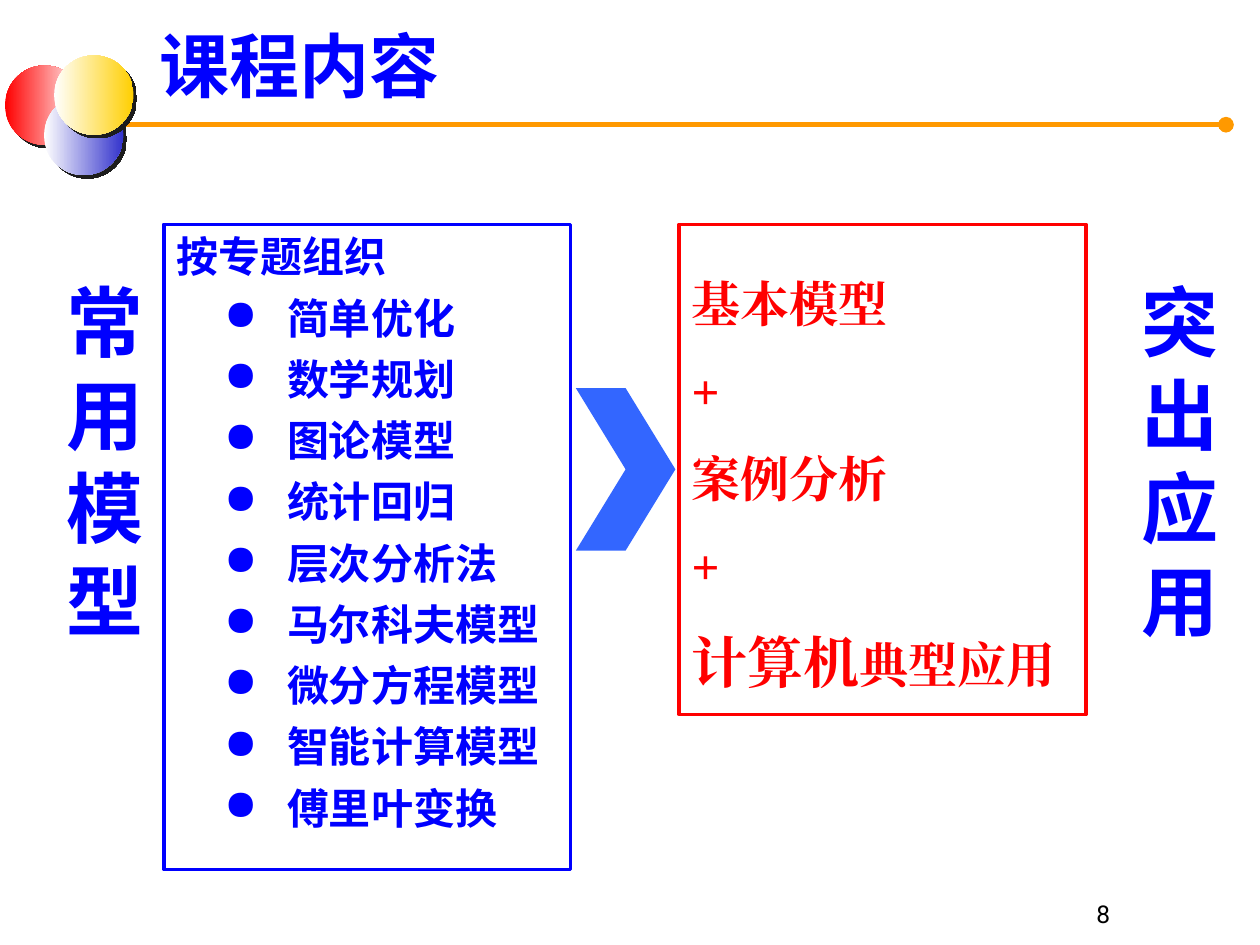
"""Build the course content slide: topics on the left lead to applications on the right."""
from lxml import etree
from pptx import Presentation
from pptx import util as u
from pptx.dml.color import RGBColor
from pptx.enum import shapes, text
from pptx.oxml.ns import qn

BLUE = RGBColor(0x00, 0x00, 0xFF)
RED = RGBColor(0xFF, 0x00, 0x00)
WHITE = RGBColor(0xFF, 0xFF, 0xFF)
BLACK = RGBColor(0x00, 0x00, 0x00)
ORANGE = RGBColor(0xFF, 0x99, 0x00)
YELLOW = RGBColor(0xFF, 0xCF, 0x01)
INDIGO = RGBColor(0x33, 0x33, 0xCC)
CHEVRON_BLUE = RGBColor(0x33, 0x66, 0xFF)
SHADOW = RGBColor(0x1C, 0x1C, 0x1C)

CJK = "Noto Sans CJK SC"
SERIF = "Times New Roman"
TOPICS = ["简单优化", "数学规划", "图论模型", "统计回归", "层次分析法",
          "马尔科夫模型", "微分方程模型", "智能计算模型", "傅里叶变换"]
APPLICATIONS = ["基本模型", "+", "案例分析", "+"]


def child(parent, tag, **attributes):
    """Append a drawing element with the given attributes."""
    return etree.SubElement(parent, qn(tag), {k: str(v) for k, v in attributes.items()})


def add_shape(slide, kind, left, top, width, height, fill=None, line=None):
    """Add a preset shape with an optional solid fill and outline."""
    shape = slide.shapes.add_shape(
        kind, u.Inches(left), u.Inches(top), u.Inches(width), u.Inches(height))
    shape.shadow.inherit = False
    if fill is None:
        shape.fill.background()
    else:
        shape.fill.solid()
        shape.fill.fore_color.rgb = fill
    if line is None:
        shape.line.fill.background()
    else:
        shape.line.color.rgb = line
        shape.line.width = u.Pt(2)
    return shape


def add_text_box(slide, left, top, width, height):
    """Add an empty text box."""
    return slide.shapes.add_textbox(
        u.Inches(left), u.Inches(top), u.Inches(width), u.Inches(height))


def prepare_frame(box, anchor=text.MSO_ANCHOR.TOP):
    """Turn on wrapping, set the anchor and return the text frame."""
    frame = box.text_frame
    frame.word_wrap = True
    frame.vertical_anchor = anchor
    return frame


def write(para, words, size, color, font=CJK, bold=True, pitch=None,
          before=0, bullet=False, align=text.PP_ALIGN.LEFT):
    """Add a run of text to a paragraph with its format."""
    para.alignment = align
    para.space_before = u.Pt(before)
    if pitch:
        para.line_spacing = u.Pt(pitch)
    if bullet:
        properties = para._p.get_or_add_pPr()
        properties.set("marL", str(u.Inches(0.88)))
        properties.set("indent", str(u.Inches(-0.5)))
        child(properties, "a:buChar", char="●")
    span = para.add_run()
    span.text = words
    span.font.size = u.Pt(size)
    span.font.bold = bold
    span.font.color.rgb = color
    span.font.name = font
    child(span._r.get_or_add_rPr(), "a:ea", typeface=font)


def add_topics(slide):
    """Add the blue box with the bulleted topics."""
    box = add_shape(slide, shapes.MSO_SHAPE.RECTANGLE, 1.3, 1.78, 3.23, 5.12, WHITE, BLUE)
    frame = prepare_frame(box)
    write(frame.paragraphs[0], "按专题组织", 24, BLUE, pitch=29)
    for topic in TOPICS:
        write(frame.add_paragraph(), topic, 24, BLUE, pitch=29, before=6, bullet=True)


def add_applications(slide):
    """Add the red box that joins models, cases and computing."""
    box = add_shape(slide, shapes.MSO_SHAPE.RECTANGLE, 5.39, 1.78, 3.23, 3.89, line=RED)
    frame = prepare_frame(box, text.MSO_ANCHOR.MIDDLE)
    for index, words in enumerate(APPLICATIONS):
        para = frame.add_paragraph() if index else frame.paragraphs[0]
        write(para, words, 28, RED, SERIF, pitch=50)
    last = frame.add_paragraph()
    write(last, "计算机", 32, RED, SERIF, pitch=57)
    write(last, "典型应用", 28, RED, SERIF, pitch=57)


def add_side_label(slide, left, words):
    """Add a narrow label that wraps to one character a line."""
    frame = prepare_frame(add_text_box(slide, left, 2.13, 0.61, 3.06))
    write(frame.paragraphs[0], words, 44, BLUE, pitch=53)


def add_rule(slide):
    """Add the orange rule with round ends."""
    rule = slide.shapes.add_connector(
        shapes.MSO_CONNECTOR.STRAIGHT,
        u.Inches(0.9), u.Inches(0.99), u.Inches(9.73), u.Inches(0.99))
    rule.line.color.rgb = ORANGE
    rule.line.width = u.Pt(3)
    outline = rule.line._get_or_add_ln()
    child(outline, "a:headEnd", type="oval")
    child(outline, "a:tailEnd", type="oval")
    child(rule._element.spPr, "a:effectLst")


def add_ball(slide, left, top, start, end):
    """Add a shaded ball with a hard shadow."""
    ball = add_shape(slide, shapes.MSO_SHAPE.OVAL, left, top, 0.63, 0.63)
    ball.fill.gradient()
    ball.fill.gradient_angle = 0
    for stop, color in zip(ball.fill.gradient_stops, (start, end)):
        stop.color.rgb = color
    effects = ball._element.spPr.find(qn("a:effectLst"))
    shadow = child(effects, "a:outerShdw", dist=u.Pt(2.8), dir=45 * 60000,
                   algn="ctr", rotWithShape=0)
    child(shadow, "a:srgbClr", val=SHADOW)


def add_title(slide):
    """Add the slide title."""
    box = add_shape(slide, shapes.MSO_SHAPE.RECTANGLE, 1.17, 0.09, 8.61, 0.66, WHITE)
    write(prepare_frame(box).paragraphs[0], "课程内容", 40, BLUE, "Comic Neue", pitch=51)


def add_page_number(slide):
    """Add the page number."""
    box = add_text_box(slide, 6.83, 6.92, 2.08, 0.5)
    frame = prepare_frame(box, text.MSO_ANCHOR.BOTTOM)
    write(frame.paragraphs[0], "8", 14, BLACK, "Roboto", bold=False,
          align=text.PP_ALIGN.RIGHT)


def main():
    """Build and save the deck."""
    deck = Presentation()
    deck.slide_width, deck.slide_height = u.Inches(10), u.Inches(7.5)
    slide = deck.slides.add_slide(deck.slide_layouts[6])
    add_page_number(slide)
    add_topics(slide)
    add_applications(slide)
    add_shape(slide, shapes.MSO_SHAPE.CHEVRON, 4.57, 3.08, 0.79, 1.29, CHEVRON_BLUE)
    add_side_label(slide, 8.96, "突出应用")
    add_side_label(slide, 0.43, "常用模型")
    add_rule(slide)
    add_ball(slide, 0.04, 0.52, RED, WHITE)
    add_ball(slide, 0.35, 0.76, WHITE, INDIGO)
    add_ball(slide, 0.43, 0.44, WHITE, YELLOW)
    add_title(slide)
    deck.save("out.pptx")


if __name__ == "__main__":
    main()
